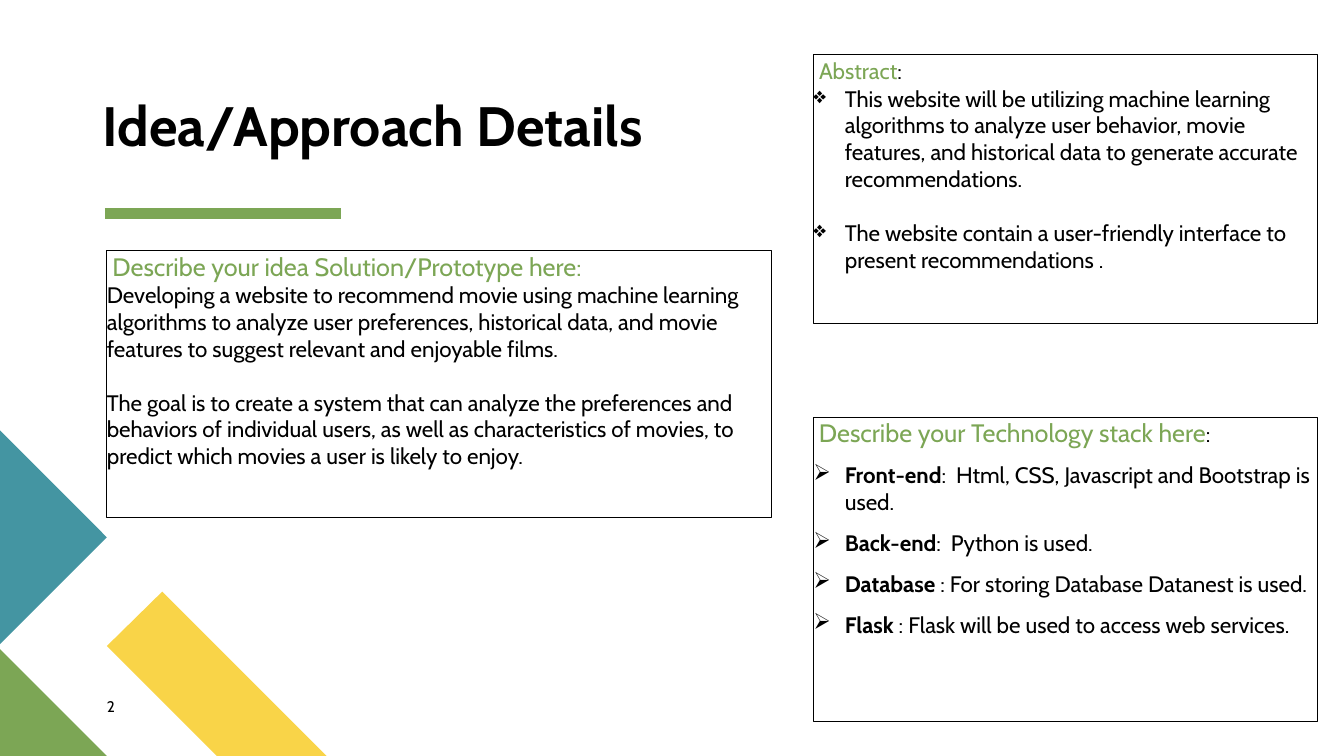
from dataclasses import dataclass

from lxml.etree import SubElement
from pptx import Presentation
from pptx.dml.color import RGBColor
from pptx.enum.shapes import MSO_CONNECTOR, MSO_SHAPE
from pptx.enum.text import MSO_ANCHOR, PP_ALIGN
from pptx.oxml.ns import qn
from pptx.slide import Slide
from pptx.text.text import TextFrame
from pptx.util import Pt

BLACK = RGBColor(0x00, 0x00, 0x00)
GREEN = RGBColor(0x7C, 0xA6, 0x55)
YELLOW = RGBColor(0xF9, 0xD4, 0x48)
TEAL = RGBColor(0x44, 0x95, 0xA2)
FONT = "Cabin"
INDENT = 22.5
BLANK = 19.2


@dataclass
class Span:
    text: str
    size: float = 16
    color: RGBColor = BLACK
    bold: bool = False


@dataclass
class Para:
    spans: list[Span]
    mark: str = ""
    before: float = 0
    leading: float = 1


@dataclass
class Box:
    left: float
    top: float
    width: float
    height: float
    paras: list[Para]
    framed: bool = True
    anchor: MSO_ANCHOR = MSO_ANCHOR.TOP


@dataclass
class Patch:
    color: RGBColor
    points: list[tuple[float, float]]


def tech(label: str, detail: str) -> Para:
    return Para([Span(label, bold=True), Span(detail)], "➢", 10)


PATCHES = [
    Patch(YELLOW, [(233.3, 540), (154.8, 540), (76.3, 461.5), (115.9, 422.6)]),
    Patch(GREEN, [(76.3, 540), (0, 540), (0, 463.7)]),
    Patch(TEAL, [(0, 307.4), (76.3, 383.8), (0, 460.1)]),
]

BOXES = [
    Box(73.4, 69.8, 435.6, 43.2,
        [Para([Span("Idea/Approach Details", 39.6, bold=True)], leading=0.9)],
        False, MSO_ANCHOR.BOTTOM),
    Box(76.3, 179.3, 474.5, 190.1, [
        Para([Span(" Describe your idea Solution/Prototype here:", 18, GREEN)]),
        Para([Span("Developing a website to recommend movie using machine learning "
                   "algorithms to analyze user preferences, historical data, and movie "
                   "features to suggest relevant and enjoyable films.")]),
        Para([Span("The goal is to create a system that can analyze the preferences and "
                   "behaviors of individual users, as well as characteristics of movies, "
                   "to predict which movies a user is likely to enjoy.")], before=BLANK),
    ]),
    Box(76.3, 498.2, 41, 19.4, [Para([Span("2", 11)])], False),
    Box(581, 298.1, 360, 217.4, [
        Para([Span(" Describe your Technology stack here", 18, GREEN), Span(":")]),
        tech("Front-end", ":  Html, CSS, Javascript and Bootstrap is used."),
        tech("Back-end", ":  Python is used."),
        tech("Database", " : For storing Database Datanest is used."),
        tech("Flask", " : Flask will be used to access web services."),
    ]),
    Box(581, 38.9, 360, 192.2, [
        Para([Span(" ", 18, GREEN), Span("Abstract", color=GREEN), Span(":")]),
        Para([Span("This website will be utilizing machine learning algorithms to "
                   "analyze user behavior, movie features, and historical data to "
                   "generate accurate recommendations.")], "❖"),
        Para([Span("The website contain a user-friendly interface to present "
                   "recommendations .")], "❖", BLANK),
    ]),
]


def draw_patch(slide: Slide, patch: Patch) -> None:
    first, *rest = [(Pt(x), Pt(y)) for x, y in patch.points]
    pen = slide.shapes.build_freeform(*first)
    pen.add_line_segments(rest, close=True)
    shape = pen.convert_to_shape()
    shape.shadow.inherit = False
    shape.fill.solid()
    shape.fill.fore_color.rgb = patch.color
    shape.line.fill.background()


def draw_rule(slide: Slide) -> None:
    rule = slide.shapes.add_connector(
        MSO_CONNECTOR.STRAIGHT, Pt(74.9), Pt(152.6), Pt(243.4), Pt(152.6))
    rule.line.color.rgb = GREEN
    rule.line.width = Pt(8)
    SubElement(rule.element.spPr, qn("a:effectLst"))


def write(frame: TextFrame, paras: list[Para]) -> None:
    for index, para in enumerate(paras):
        line = frame.add_paragraph() if index else frame.paragraphs[0]
        line.alignment = PP_ALIGN.LEFT
        line.line_spacing = para.leading
        if para.before:
            line.space_before = Pt(para.before)
        if para.mark:
            props = line._p.get_or_add_pPr()
            props.set("marL", str(Pt(INDENT)))
            props.set("indent", str(-Pt(INDENT)))
            tint = SubElement(props, qn("a:buClr"))
            SubElement(tint, qn("a:srgbClr"), val=str(BLACK))
            SubElement(props, qn("a:buChar"), char=para.mark)
        for span in para.spans:
            run = line.add_run()
            run.text = span.text
            run.font.name = FONT
            run.font.size = Pt(span.size)
            run.font.bold = span.bold
            run.font.color.rgb = span.color


def draw_box(slide: Slide, box: Box) -> None:
    area = Pt(box.left), Pt(box.top), Pt(box.width), Pt(box.height)
    if box.framed:
        shape = slide.shapes.add_shape(MSO_SHAPE.RECTANGLE, *area)
        shape.shadow.inherit = False
        shape.fill.background()
        shape.line.color.rgb = BLACK
        shape.line.width = Pt(0.75)
    else:
        shape = slide.shapes.add_textbox(*area)
    frame = shape.text_frame
    frame.word_wrap = True
    frame.vertical_anchor = box.anchor
    frame.margin_left = frame.margin_right = 0
    frame.margin_top = frame.margin_bottom = 0
    write(frame, box.paras)


def main() -> None:
    deck = Presentation()
    deck.slide_width, deck.slide_height = Pt(960), Pt(540)
    slide = deck.slides.add_slide(deck.slide_layouts[6])
    for patch in PATCHES:
        draw_patch(slide, patch)
    draw_rule(slide)
    for box in BOXES:
        draw_box(slide, box)
    deck.save("out.pptx")


if __name__ == "__main__":
    main()
